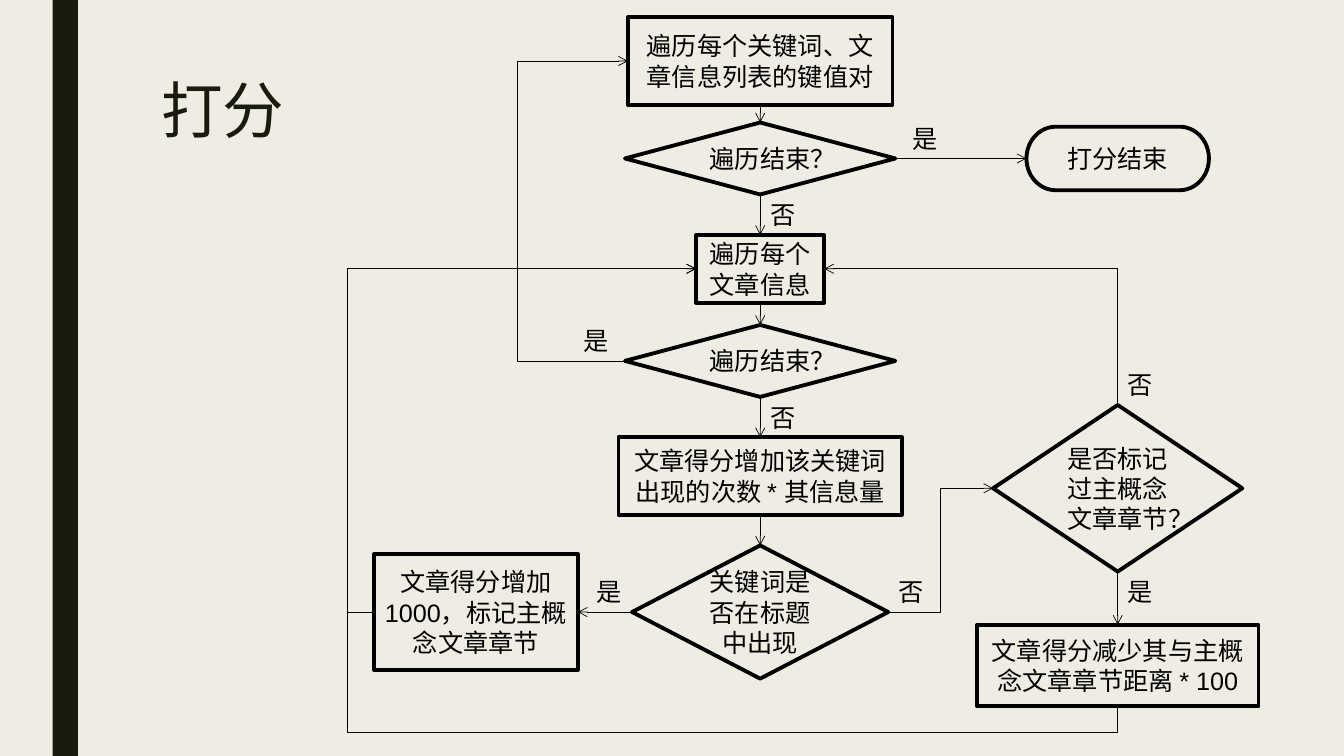
from lxml import etree
from pptx import Presentation
from pptx.dml.color import RGBColor
from pptx.enum.shapes import MSO_CONNECTOR, MSO_SHAPE
from pptx.enum.text import MSO_ANCHOR, MSO_AUTO_SIZE, PP_ALIGN
from pptx.oxml.ns import qn
from pptx.util import Pt

STEP = MSO_SHAPE.FLOWCHART_PROCESS
TEST = MSO_SHAPE.FLOWCHART_DECISION
STOP = MSO_SHAPE.FLOWCHART_TERMINATOR
BAR = MSO_SHAPE.RECTANGLE
LINE, ELBOW = MSO_CONNECTOR.STRAIGHT, MSO_CONNECTOR.ELBOW
CENTER, MIDDLE = PP_ALIGN.CENTER, MSO_ANCHOR.MIDDLE
GROW = MSO_AUTO_SIZE.SHAPE_TO_FIT_TEXT
TOP, LEFT, BOTTOM, RIGHT = range(4)

COLORS = {"paper": "EFEDE3", "dark": "191B0E", "ink": "000000"}
MAIN_X, SIDE_X = 543, 798.4
END_Y, LOW_Y = 113.2, 437.2

NODES = {
    "list": (STEP, MAIN_X, 43.6, 189, 62.6, "遍历每个关键词、文章信息列表的键值对"),
    "over": (TEST, MAIN_X, END_Y, 193.2, 51.4, "遍历结束？"),
    "item": (STEP, MAIN_X, 192, 91.6, 48.4, "遍历每个文章信息"),
    "last": (TEST, MAIN_X, 257.8, 193.2, 51.4, "遍历结束？"),
    "add": (STEP, MAIN_X, 340, 202.4, 55.4, "文章得分增加该关键词出现的次数 * 其信息量"),
    "head": (TEST, MAIN_X, LOW_Y, 183, 95.2, "关键词是否在标题中出现"),
    "bonus": (STEP, 340, LOW_Y, 145.6, 82.4, "文章得分增加1000，标记主概念文章章节"),
    "mark": (TEST, SIDE_X, 348.8, 178, 119, "是否标记过主概念文章章节？"),
    "cut": (STEP, SIDE_X, 475.4, 201, 58.4, "文章得分减少其与主概念文章章节距离 * 100"),
    "end": (STOP, SIDE_X, END_Y, 130.4, 45.4, "打分结束"),
}

LINKS = [
    ("list", BOTTOM, "over", TOP),
    ("over", BOTTOM, "item", TOP),
    ("item", BOTTOM, "last", TOP),
    ("last", BOTTOM, "add", TOP),
    ("add", BOTTOM, "head", TOP),
    ("mark", BOTTOM, "cut", TOP),
    ("over", RIGHT, "end", LEFT),
    ("head", LEFT, "bonus", RIGHT),
]

BENDS = [
    ("head", RIGHT, "mark", LEFT, "tailEnd", (671.8,)),
    ("last", LEFT, "list", LEFT, "tailEnd", (369.4,)),
    ("bonus", LEFT, "item", LEFT, "tailEnd", (248.4,)),
    ("item", RIGHT, "mark", TOP, "headEnd", ()),
    ("item", LEFT, "cut", BOTTOM, "headEnd", (248.4, 523.4)),
]

LABELS = [
    ("否", MAIN_X, 139),
    ("否", MAIN_X, 283.6),
    ("是", 644.4, 84.2),
    ("是", 409.8, 229),
    ("是", 419, 408.2),
    ("否", 634.4, 408.2),
    ("是", SIDE_X, 408.2),
    ("否", SIDE_X, 260.6),
]


def color(name):
    return RGBColor.from_string(COLORS[name])


def write(shape, text, size=18, font="Arial", ink="ink"):
    para = shape.text_frame.paragraphs[0]
    para.text = text
    para.font.size = Pt(size)
    para.font.name = font
    para.font.color.rgb = color(ink)
    return para


def add_bar(slide, height):
    bar = slide.shapes.add_shape(BAR, Pt(37.6), 0, Pt(18), height)
    bar.shadow.inherit = False
    bar.fill.solid()
    bar.fill.fore_color.rgb = color("dark")
    bar.line.fill.background()


def add_title(slide, text):
    box = slide.shapes.add_textbox(Pt(108), Pt(54), Pt(756), Pt(116.6))
    box.text_frame.word_wrap = True
    write(box, text, 44, "Lato", "dark").line_spacing = 0.89


def add_node(slide, kind, mid_x, mid_y, width, height, text):
    node = slide.shapes.add_shape(
        kind, Pt(mid_x - width / 2), Pt(mid_y - height / 2), Pt(width), Pt(height))
    node.shadow.inherit = False
    node.fill.background()
    node.line.color.rgb = color("ink")
    node.line.width = Pt(2.75)
    node.text_frame.word_wrap = True
    node.text_frame.vertical_anchor = MIDDLE
    write(node, text).alignment = CENTER
    return node


def add_label(slide, text, left, top):
    box = slide.shapes.add_textbox(Pt(left), Pt(top), Pt(32.4), Pt(29))
    box.text_frame.word_wrap = False
    box.text_frame.auto_size = GROW
    write(box, text)


def style(link, tip):
    link.line.color.rgb = color("ink")
    link.line.width = Pt(0.5)
    etree.SubElement(link.line._get_or_add_ln(), qn("a:" + tip), type="arrow")
    etree.SubElement(link._element.spPr, qn("a:effectLst"))


def add_link(slide, start, out, stop, into):
    link = slide.shapes.add_connector(LINE, 0, 0, 0, 0)
    link.begin_connect(start, out)
    link.end_connect(stop, into)
    style(link, "tailEnd")


def port(node, side):
    across = (0.5, 0, 0.5, 1)[side]
    down = (0, 0.5, 1, 0.5)[side]
    return (int(node.left + node.width * across),
            int(node.top + node.height * down))


def add_bend(slide, start, out, stop, into, tip, turns):
    first, final = port(start, out), port(stop, into)
    link = slide.shapes.add_connector(ELBOW, *first, *final)
    geom = link._element.spPr.find(qn("a:prstGeom"))
    geom.set("prst", f"bentConnector{len(turns) + 2}")
    guides = geom.find(qn("a:avLst"))
    for num, (turn, near, far) in enumerate(zip(turns, first, final), 1):
        ratio = round((Pt(turn) - near) / (far - near) * 100000)
        etree.SubElement(guides, qn("a:gd"), name=f"adj{num}", fmla=f"val {ratio}")
    style(link, tip)


def main():
    deck = Presentation()
    deck.slide_width, deck.slide_height = Pt(960), Pt(540)
    slide = deck.slides.add_slide(deck.slide_layouts[6])
    slide.background.fill.solid()
    slide.background.fill.fore_color.rgb = color("paper")
    add_bar(slide, deck.slide_height)
    add_title(slide, "打分")
    nodes = {name: add_node(slide, *spec) for name, spec in NODES.items()}
    for start, out, stop, into in LINKS:
        add_link(slide, nodes[start], out, nodes[stop], into)
    for start, out, stop, into, tip, turns in BENDS:
        add_bend(slide, nodes[start], out, nodes[stop], into, tip, turns)
    for label in LABELS:
        add_label(slide, *label)
    deck.save("out.pptx")


if __name__ == "__main__":
    main()
